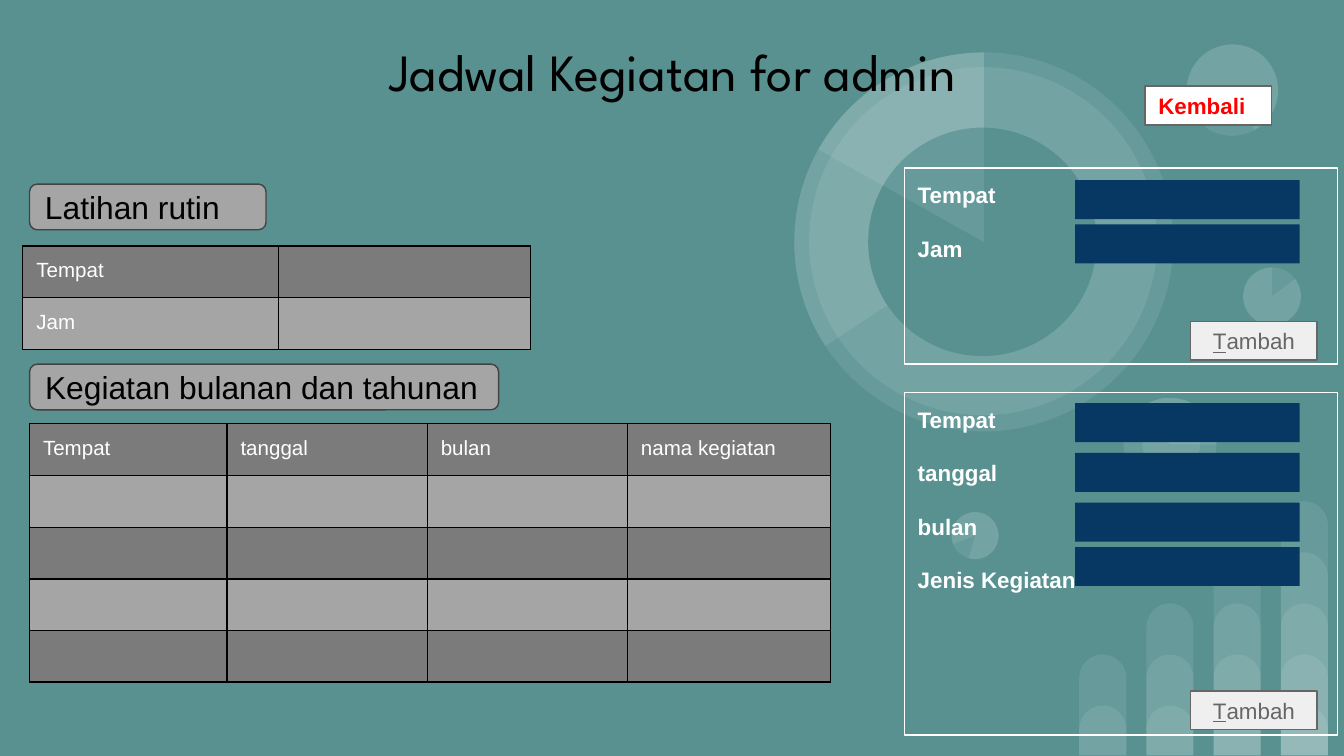
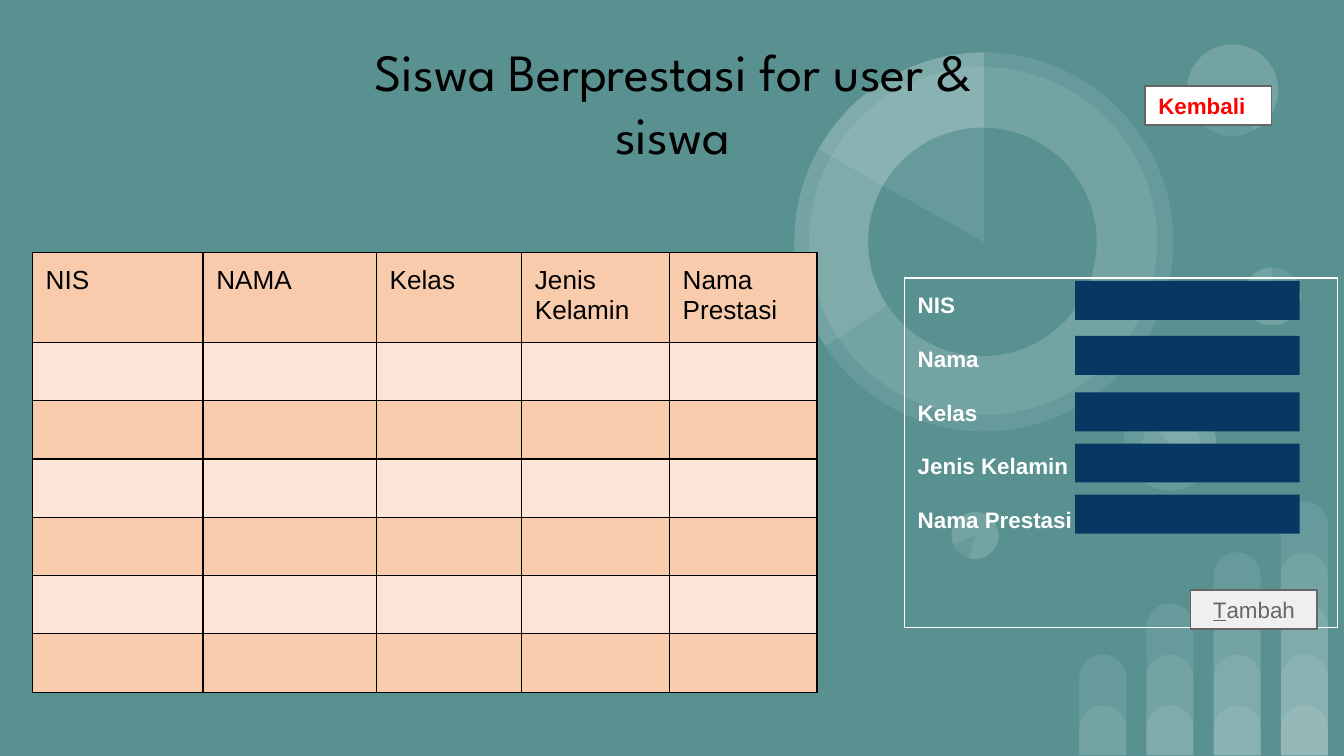
from dataclasses import dataclass

from lxml.etree import SubElement
from pptx import Presentation
from pptx.dml.color import RGBColor
from pptx.enum.shapes import MSO_SHAPE as Shape
from pptx.enum.text import MSO_ANCHOR as Anchor, MSO_AUTO_SIZE as AutoSize, PP_ALIGN as Align
from pptx.oxml.ns import qn
from pptx.util import Inches, Pt


@dataclass(frozen=True)
class Theme:
    teal: str = "599191"
    white: str = "FFFFFF"
    black: str = "000000"
    red: str = "FF0000"
    navy: str = "073763"
    button: str = "EFEFEF"
    button_ink: str = "666666"
    tag_line: str = "424242"
    greys: tuple = ("7B7B7B", "A5A5A5")
    peaches: tuple = ("F8CBAD", "FCE4D6")
    body_font: str = "Arial"
    title_font: str = "League Spartan"
    title: int = 28
    tag: int = 17
    table_large: int = 14
    label: int = 12
    table_small: int = 11
    label_gap: float = 14.3
    line: float = 0.75
    inset: float = 0.1
    veil: int = 9


T = Theme()
BUTTON_SIZE = (0.94, 0.29)
FIELD_SIZE = (1.67, 0.29)
HEADER_ROW, BODY_ROW = 0.39, 0.21  # minimum heights; rows grow to fit their text


def rgb(value):
    return RGBColor.from_string(value)


def write(tf, *paragraphs, size, color, font=T.body_font, bold=False,
          align=Align.LEFT, anchor=Anchor.TOP, gap=0):
    """Fill a frame; a paragraph is a string or a list of (text, underline) runs."""
    tf.word_wrap = True
    tf.vertical_anchor = anchor
    tf.margin_left = tf.margin_right = tf.margin_top = tf.margin_bottom = Inches(T.inset)
    for i, runs in enumerate(paragraphs):
        p = tf.add_paragraph() if i else tf.paragraphs[0]
        p.alignment = align
        if i and gap:
            p.space_before = Pt(gap)
        for text, underline in [(runs, False)] if isinstance(runs, str) else runs:
            r = p.add_run()
            r.text = text
            r.font.name, r.font.size = font, Pt(size)
            r.font.bold, r.font.underline = bold, underline
            r.font.color.rgb = rgb(color)


def add_box(shapes, kind, x, y, w, h, fill=None, line=None, alpha=None, rotation=0, adj=()):
    sp = shapes.add_shape(kind, Inches(x), Inches(y), Inches(w), Inches(h))
    sp.shadow.inherit = False
    sp.rotation = rotation
    for i, value in enumerate(adj):
        sp.adjustments[i] = value
    if fill:
        sp.fill.solid()
        sp.fill.fore_color.rgb = rgb(fill)
    else:
        sp.fill.background()
    if alpha:
        color = sp.element.spPr.find(qn("a:solidFill")).find(qn("a:srgbClr"))
        SubElement(color, qn("a:alpha"), val=str(alpha * 1000))
    if line:
        sp.line.color.rgb = rgb(line)
        sp.line.width = Pt(T.line)
    else:
        sp.line.fill.background()
    return sp


def add_bars(shapes):
    bottom, left, pitch, width = 5.62, 8.03, 0.5, 0.35
    columns = [(0.75, 0.37), (0.75, 1.13, 0.37), (0.75, 1.51, 1.13, 0.37),
               (0.75, 1.51, 1.13, 1.89, 0.37)]
    for i, heights in enumerate(columns):
        for h in heights:
            add_box(shapes, Shape.ROUND_2_SAME_RECTANGLE, left + i * pitch, bottom - h,
                    width, h, T.white, alpha=T.veil, adj=(0.5, 0))


def add_pies(shapes):
    small, low, mid = (9.25, 1.99, 0.43), (7.08, 3.81, 0.35), (8.36, 2.96, 0.69)
    top, ring = (8.83, 0.33, 0.68), (5.91, 0.39, 2.82)
    discs = [  # circle (left, top, diameter), rotation, pie angles
        (small, 0, None),
        (low, 196.2, None),
        (mid, 90, None),
        (mid, 90, (82.448, 162.462)),
        ((8.5, 3.09, 0.43), 90, None),
        (small, 0, (193.768, 162)),
        (top, 215.9, None),
        (top, 215.9, (193.768, 123.136)),
        (ring, 0, None),
        ((6.02, 0.5, 2.59), 34.1, None),
        (ring, 0, (88.012, 162)),
        ((6.46, 0.95, 1.7), 34.1, "hole"),
        (ring, 0, (125.541, 162)),
        (low, 196.2, (193.768, 162)),
    ]
    for (x, y, d), rotation, angles in discs:
        if angles == "hole":
            add_box(shapes, Shape.OVAL, x, y, d, d, T.teal, rotation=rotation)
        else:
            add_box(shapes, Shape.PIE if angles else Shape.OVAL, x, y, d, d, T.white,
                    alpha=T.veil, rotation=rotation, adj=angles or ())


def decorate_layout(layout, slide):
    """Draw the shared backdrop on a slide, then move it into the layout."""
    layout.background.fill.solid()
    layout.background.fill.fore_color.rgb = rgb(T.teal)
    for ph in list(layout.placeholders):
        if ph.placeholder_format.idx:
            ph.element.getparent().remove(ph.element)
    for position, draw in enumerate((add_bars, add_pies), start=2):
        group = slide.shapes.add_group_shape()
        draw(group.shapes)
        for props in group.element.iter(qn("p:cNvPr")):
            props.set("id", str(100 * position + int(props.get("id"))))
        layout.shapes.element.insert(position, group.element)


def set_title(slide, text):
    sp = slide.shapes.title
    sp.left, sp.top, sp.width, sp.height = map(Inches, (2.62, 0.19, 4.77, 1.14))
    write(sp.text_frame, text, size=T.title, color=T.black, font=T.title_font,
          align=Align.CENTER)
    sp.text_frame.auto_size = AutoSize.SHAPE_TO_FIT_TEXT


def add_back_button(slide):
    sp = add_box(slide.shapes, Shape.RECTANGLE, 8.52, 0.64, *BUTTON_SIZE,
                 T.white, T.button_ink)
    write(sp.text_frame, "Kembali", size=T.label, color=T.red, bold=True,
          anchor=Anchor.MIDDLE)


def add_tag(slide, text, x, y, w):
    sp = add_box(slide.shapes, Shape.ROUNDED_RECTANGLE, x, y, w, 0.34,
                 T.greys[1], T.tag_line, adj=(0.167,))
    write(sp.text_frame, text, size=T.tag, color=T.black, anchor=Anchor.MIDDLE)


def add_form(slide, x, y, w, h, fields, button_y):
    """Panel of labels; fields maps each label to its input's offset from the top."""
    shapes = slide.shapes
    panel = add_box(shapes, Shape.RECTANGLE, x, y, w, h, line=T.white)
    write(panel.text_frame, *fields, size=T.label, color=T.white, bold=True,
          gap=T.label_gap)
    for offset in fields.values():
        add_box(shapes, Shape.RECTANGLE, x + 1.27, y + offset, *FIELD_SIZE, T.navy)
    sp = add_box(shapes, Shape.RECTANGLE, x + 2.13, y + button_y, *BUTTON_SIZE,
                 T.button, T.button_ink)
    write(sp.text_frame, [("T", True), ("ambah", False)], size=T.label,
          color=T.button_ink, align=Align.CENTER, anchor=Anchor.MIDDLE)


def style_cell(cell, text, fill, size, color):
    write(cell.text_frame, *([text] if text else []), size=size, color=color)
    cell.margin_left = cell.margin_right = Inches(T.inset)
    cell.margin_top = cell.margin_bottom = Inches(T.inset)
    if not text:
        p = cell.text_frame.paragraphs[0]
        SubElement(p._p, qn("a:endParaRPr"), sz=str(size * 100))
    tc_pr = cell._tc.get_or_add_tcPr()
    for side in ("lnL", "lnR", "lnT", "lnB"):
        ln = SubElement(tc_pr, qn(f"a:{side}"), w=str(Pt(T.line)))
        SubElement(SubElement(ln, qn("a:solidFill")), qn("a:srgbClr"), val=T.black)
    cell.fill.solid()
    cell.fill.fore_color.rgb = rgb(fill)


def add_grid(slide, x, y, widths, heights, rows, fills, size, color):
    """Table whose rows alternate between two fills; missing text leaves a cell empty."""
    side = Inches(3.28)
    frame = slide.shapes.add_table(len(heights), len(widths), Inches(x), Inches(y),
                                   side, side)
    table = frame.table
    table.first_row = table.horz_banding = False
    for column, w in zip(table.columns, widths):
        column.width = Inches(w)
    for i, h in enumerate(heights):
        table.rows[i].height = Inches(h)
        texts = rows[i] if i < len(rows) else ()
        for j in range(len(widths)):
            style_cell(table.cell(i, j), texts[j] if j < len(texts) else "",
                       fills[i % 2], size, color)
    frame.width = frame.height = side


def build_schedule(slide):
    set_title(slide, "Jadwal Kegiatan for admin")
    grey = dict(fills=T.greys, size=T.table_small, color=T.white)
    add_grid(slide, 0.17, 1.83, [1.9, 1.88], [BODY_ROW] * 2, [["Tempat"], ["Jam"]], **grey)
    add_tag(slide, "Latihan rutin", 0.22, 1.37, 1.76)
    add_tag(slide, "Kegiatan bulanan dan tahunan", 0.22, 2.71, 3.49)
    add_grid(slide, 0.22, 3.15, [1.47, 1.49, 1.49, 1.51], [HEADER_ROW] + [BODY_ROW] * 4,
             [["Tempat", "tanggal", "bulan", "nama kegiatan"]], **grey)
    add_form(slide, 6.73, 2.92, 3.22, 2.55,
             {"Tempat": 0.08, "tanggal": 0.45, "bulan": 0.82, "Jenis Kegiatan": 1.15}, 2.22)
    add_form(slide, 6.73, 1.25, 3.22, 1.46, {"Tempat": 0.09, "Jam": 0.42}, 1.14)
    add_back_button(slide)


def build_students(slide):
    set_title(slide, "Siswa Berprestasi for user & siswa")
    add_grid(slide, 0.24, 1.88, [1.27, 1.29, 1.08, 1.1, 1.1], [HEADER_ROW] + [BODY_ROW] * 6,
             [["NIS", "NAMA", "Kelas", "Jenis Kelamin", "Nama Prestasi"]],
             T.peaches, T.table_large, T.black)
    add_back_button(slide)
    add_form(slide, 6.73, 2.07, 3.22, 2.6,
             {"NIS": 0.02, "Nama": 0.43, "Kelas": 0.85, "Jenis Kelamin": 1.23,
              "Nama Prestasi": 1.61}, 2.32)


def main():
    prs = Presentation()
    prs.slide_width = Inches(10)
    prs.slide_height = prs.slide_width * 9 // 16
    layout = prs.slide_layouts[5]
    schedule, students = (prs.slides.add_slide(layout) for _ in range(2))
    decorate_layout(layout, schedule)
    build_schedule(schedule)
    build_students(students)
    prs.save("out.pptx")


if __name__ == "__main__":
    main()
